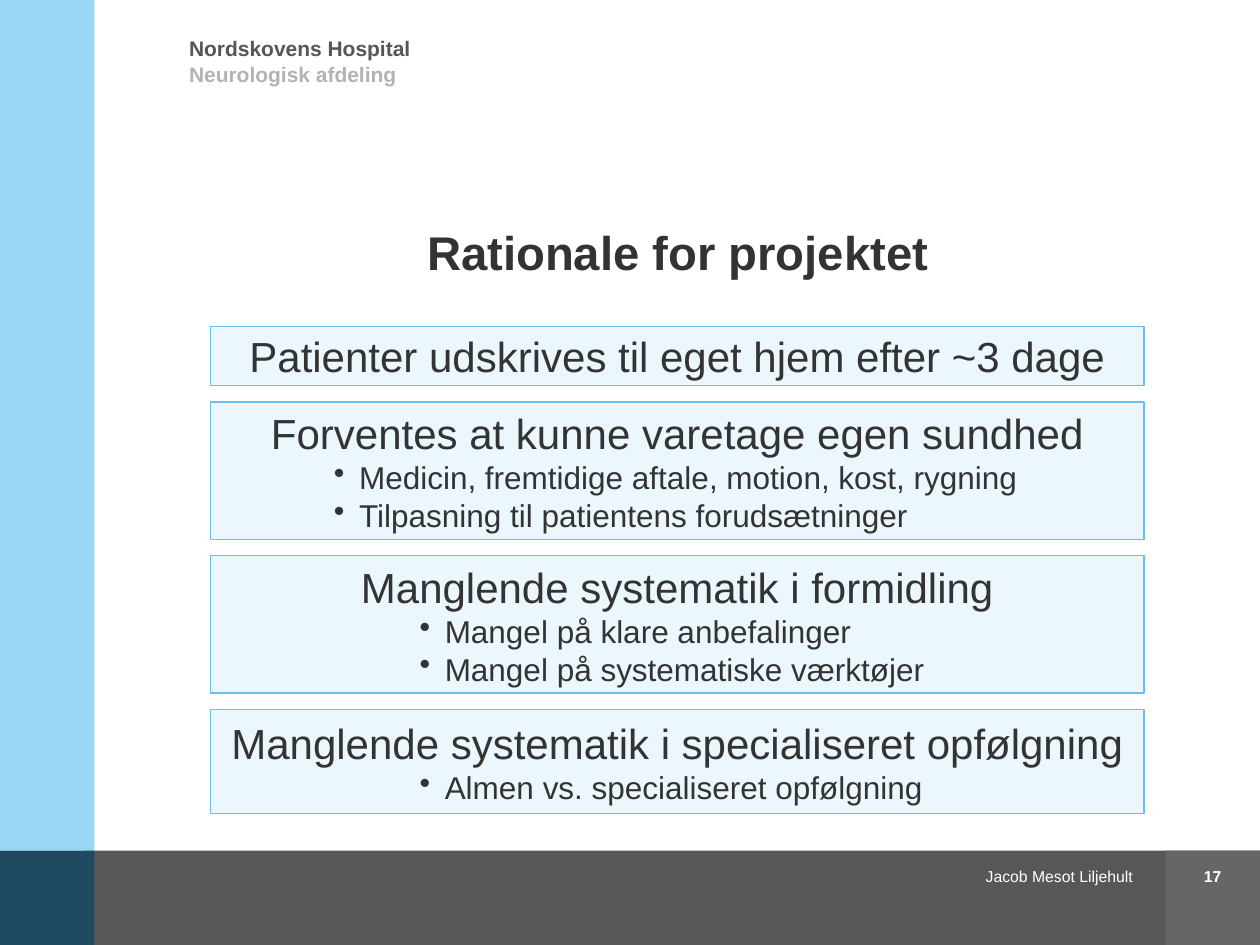
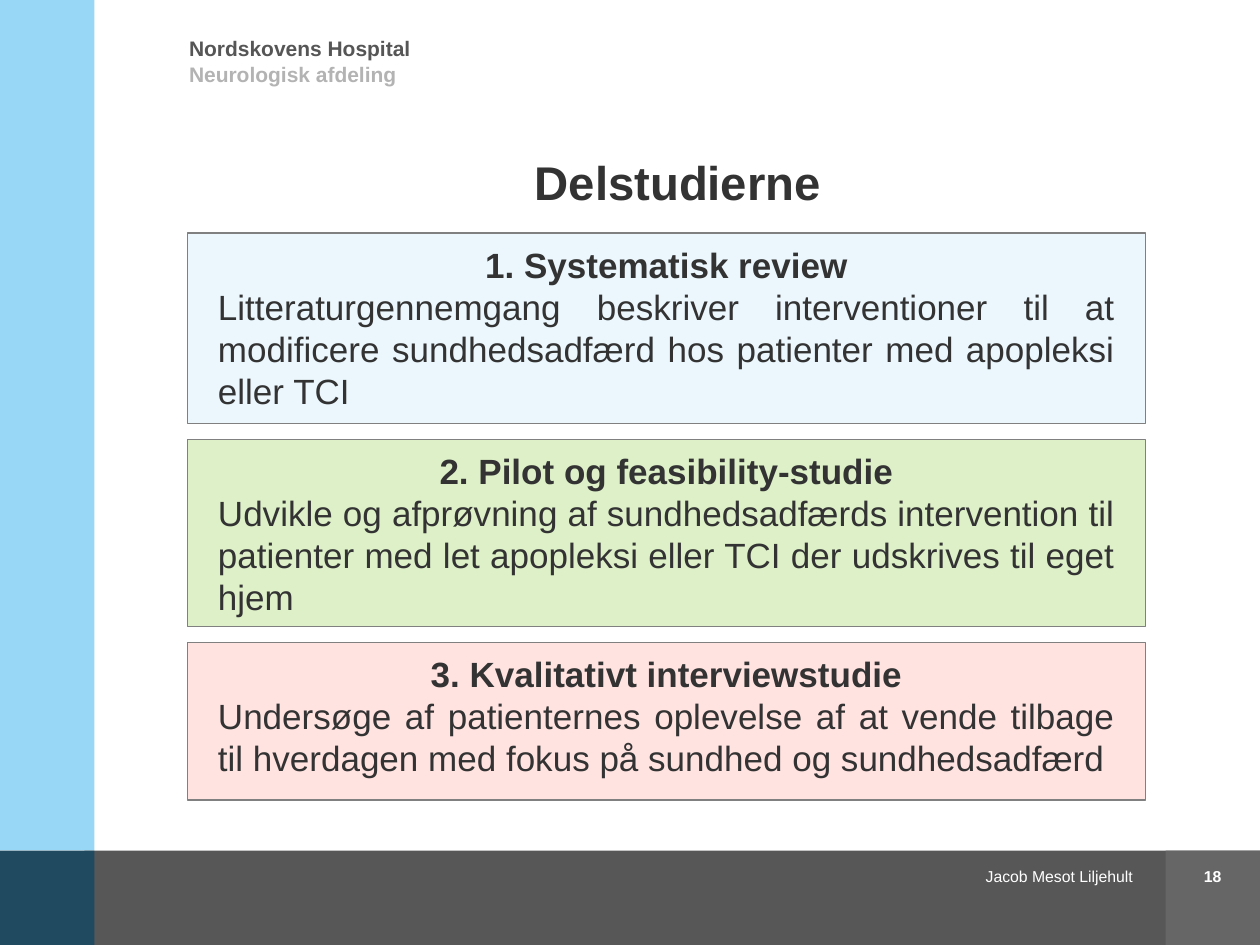
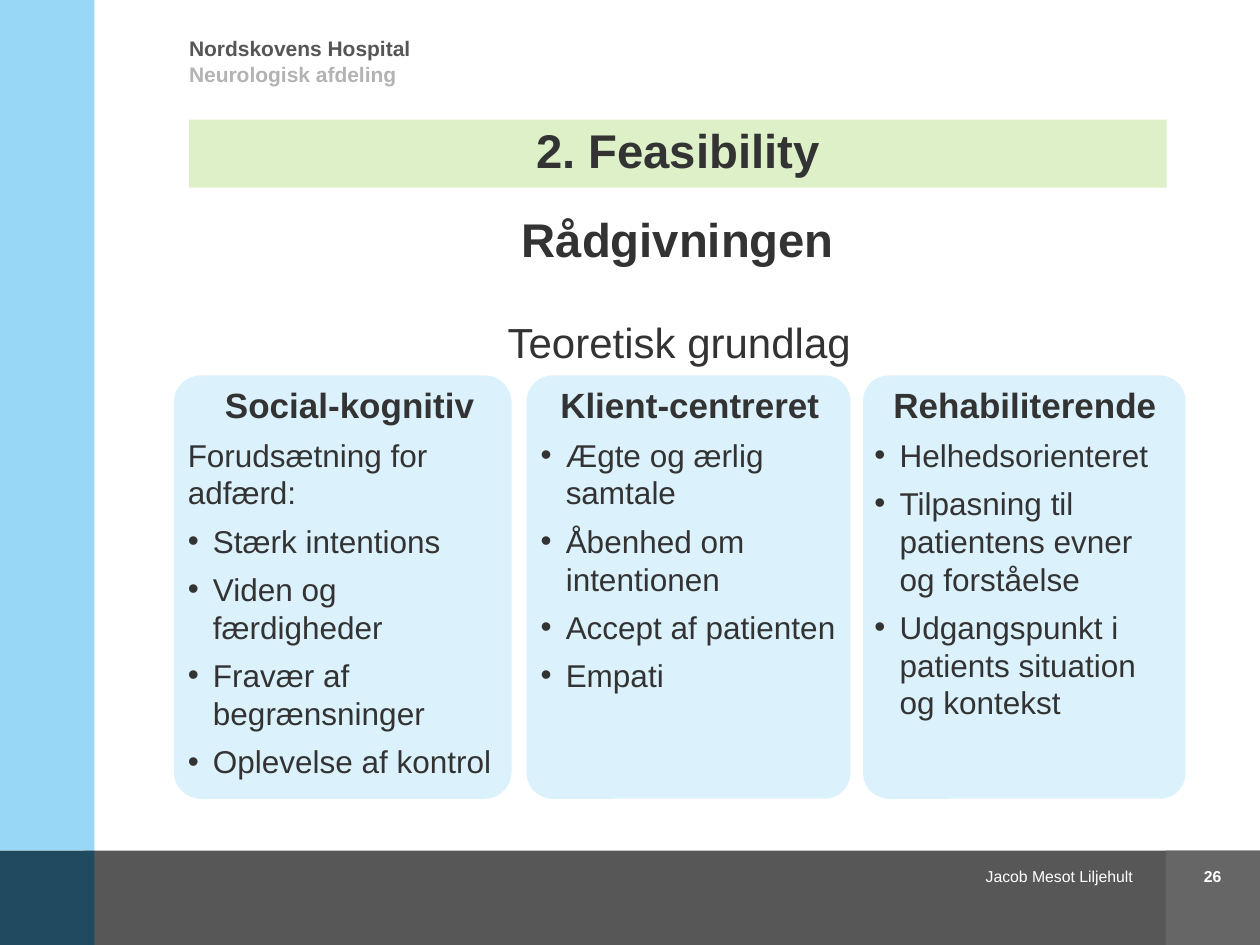
from dataclasses import dataclass

from pptx import Presentation
from pptx.dml.color import RGBColor
from pptx.enum.shapes import MSO_SHAPE
from pptx.enum.text import MSO_ANCHOR, MSO_AUTO_SIZE, PP_ALIGN
from pptx.oxml.xmlchemy import OxmlElement
from pptx.util import Inches, Pt

COMPARISON_LAYOUT = 4
TITLE_ONLY_LAYOUT = 5
BOX_GAP = 0.13


@dataclass(frozen=True)
class Theme:
    font: str = "Arial"
    text: str = "333333"
    white: str = "FFFFFF"
    hospital: str = "565656"
    department: str = "B3B3B3"
    footer: str = "575757"
    page_block: str = "666666"
    side_band: str = "99D7F6"
    corner: str = "1F4A60"
    pale_blue: str = "EBF7FD"
    card_blue: str = "DBF1FC"
    blue_line: str = "65C2F0"
    gray_line: str = "808080"
    green: str = "DDF0C8"
    pink: str = "FFE3E1"
    title_size: float = 27
    lead_size: float = 24
    heading_size: float = 20
    body_size: float = 18
    header_size: float = 12
    footer_size: float = 9


THEME = Theme()


@dataclass
class Line:
    text: str
    size: float = THEME.body_size
    bold: bool = False
    color: str = THEME.text
    alignment: PP_ALIGN = PP_ALIGN.LEFT
    bullet_indent: float = 0
    before: float = 0
    after: float = 0
    spacing: float = 1.0


class Deck:
    def __init__(self, theme):
        self.theme = theme
        self.presentation = Presentation()
        self.presentation.slide_width = Inches(10)
        self.presentation.slide_height = Inches(7.5)
        self.slide = None

    def new_slide(self, page, layout=TITLE_ONLY_LAYOUT):
        theme = self.theme
        layouts = self.presentation.slide_layouts
        self.slide = self.presentation.slides.add_slide(layouts[layout])
        for area, color in (
            ((0.67, 6.75, 9.33, 0.75), theme.footer),
            ((9.25, 6.75, 0.75, 0.75), theme.page_block),
            ((0, 0, 0.75, 6.75), theme.side_band),
            ((0, 6.75, 0.75, 0.75), theme.corner),
        ):
            self.box(area, color)
        for area, line in (
            ((1.5, 0.28, 3.61, 0.24),
             Line("Nordskovens Hospital", theme.header_size, True, theme.hospital)),
            ((1.5, 0.49, 3.62, 0.46),
             Line("Neurologisk afdeling", theme.header_size, True, theme.department)),
            ((6.47, 6.88, 2.52, 0.15),
             Line("Jacob Mesot Liljehult", theme.footer_size, False, theme.white, PP_ALIGN.RIGHT)),
            ((9.25, 6.88, 0.75, 0.16),
             Line(page, theme.footer_size, True, theme.white, PP_ALIGN.CENTER)),
        ):
            self.text_box(area, [line])

    def title_line(self, text):
        return Line(text, self.theme.title_size, True,
                    alignment=PP_ALIGN.CENTER, spacing=0.85)

    def title(self, text, height, fill=None):
        shape = self.slide.shapes.title
        self.place(shape, (1.5, 0.95, 7.76, height))
        if fill:
            self.fill(shape, fill)
        anchor = MSO_ANCHOR.MIDDLE if fill else MSO_ANCHOR.BOTTOM
        self.set_lines(shape, [self.title_line(text)], anchor)

    def body(self, index, area, lines, anchor=MSO_ANCHOR.TOP):
        shape = self.slide.placeholders[index]
        self.place(shape, area)
        self.set_lines(shape, lines, anchor)
        shape.element.getparent().append(shape.element)

    def text_box(self, area, lines):
        self.set_lines(self.slide.shapes.add_textbox(*map(Inches, area)), lines)

    def box(self, area, fill, line=None, preset=MSO_SHAPE.RECTANGLE):
        shape = self.slide.shapes.add_shape(preset, *map(Inches, area))
        shape.shadow.inherit = False
        self.fill(shape, fill)
        if line:
            shape.line.color.rgb = RGBColor.from_string(line)
            shape.line.width = Pt(0.75)
        else:
            shape.line.fill.background()
        return shape

    def card(self, area):
        shape = self.box(area, self.theme.card_blue, preset=MSO_SHAPE.ROUNDED_RECTANGLE)
        shape.adjustments[0] = 0.08

    def place(self, shape, area):
        shape.left, shape.top, shape.width, shape.height = map(Inches, area)

    def fill(self, shape, color):
        shape.fill.solid()
        shape.fill.fore_color.rgb = RGBColor.from_string(color)

    def set_lines(self, shape, lines, anchor=MSO_ANCHOR.TOP, insets=(0, 0, 0, 0)):
        frame = shape.text_frame
        frame.word_wrap = True
        frame.auto_size = MSO_AUTO_SIZE.NONE
        frame.vertical_anchor = anchor
        (frame.margin_left, frame.margin_top,
         frame.margin_right, frame.margin_bottom) = map(Inches, insets)
        for number, line in enumerate(lines):
            paragraph = frame.add_paragraph() if number else frame.paragraphs[0]
            self.format_paragraph(paragraph, line)
            run = paragraph.add_run()
            run.text = line.text
            run.font.name = self.theme.font
            run.font.size = Pt(line.size)
            run.font.bold = line.bold
            run.font.color.rgb = RGBColor.from_string(line.color)

    def format_paragraph(self, paragraph, line):
        paragraph.alignment = line.alignment
        paragraph.line_spacing = line.spacing
        paragraph.space_before = Pt(line.before)
        paragraph.space_after = Pt(line.after)
        properties = paragraph._p.get_or_add_pPr()
        properties.set("marL", str(Inches(line.bullet_indent)))
        properties.set("indent", str(Inches(-0.2 if line.bullet_indent else 0)))
        bullet = OxmlElement("a:buChar" if line.bullet_indent else "a:buNone")
        if line.bullet_indent:
            bullet.set("char", "•")
        properties.append(bullet)


def add_rationale(deck):
    theme = deck.theme
    deck.new_slide("17")
    deck.title("Rationale for projektet", 1.27)
    reasons = (
        (0.47, "Patienter udskrives til eget hjem efter ~3 dage", 0, ()),
        (1.09, "Forventes at kunne varetage egen sundhed", 1.18,
         ("Medicin, fremtidige aftale, motion, kost, rygning",
          "Tilpasning til patientens forudsætninger")),
        (1.09, "Manglende systematik i formidling", 1.86,
         ("Mangel på klare anbefalinger", "Mangel på systematiske værktøjer")),
        (0.83, "Manglende systematik i specialiseret opfølgning", 1.86,
         ("Almen vs. specialiseret opfølgning",)),
    )
    top = 2.59
    for height, heading, indent, points in reasons:
        box = deck.box((1.67, top, 7.41, height), theme.pale_blue, theme.blue_line)
        lines = [Line(heading, theme.lead_size, alignment=PP_ALIGN.CENTER)]
        lines += [Line(point, bullet_indent=indent) for point in points]
        deck.set_lines(box, lines, MSO_ANCHOR.MIDDLE)
        top += height + BOX_GAP


def add_studies(deck):
    theme = deck.theme
    deck.new_slide("18")
    deck.title("Delstudierne", 0.72)
    studies = (
        (1.51, theme.pale_blue, 0.08, "1. Systematisk review",
         "Litteraturgennemgang beskriver interventioner til at modificere "
         "sundhedsadfærd hos patienter med apopleksi eller TCI"),
        (1.48, theme.green, 0, "2. Pilot og feasibility-studie",
         "Udvikle og afprøvning af sundhedsadfærds intervention til patienter "
         "med let apopleksi eller TCI der udskrives til eget hjem"),
        (1.25, theme.pink, 0, "3. Kvalitativt interviewstudie",
         "Undersøge af patienternes oplevelse af at vende tilbage til hverdagen "
         "med fokus på sundhed og sundhedsadfærd"),
    )
    top = 1.85
    for height, fill, bottom_inset, heading, description in studies:
        box = deck.box((1.49, top, 7.6, height), fill, theme.gray_line)
        lines = [
            Line(heading, theme.heading_size, True, alignment=PP_ALIGN.CENTER),
            Line(description, theme.heading_size, alignment=PP_ALIGN.JUSTIFY),
        ]
        deck.set_lines(box, lines, insets=(0.24, 0.08, 0.24, bottom_inset))
        top += height + BOX_GAP


def add_counselling(deck):
    theme = deck.theme
    deck.new_slide("26", COMPARISON_LAYOUT)
    deck.title("2. Feasibility", 0.54, theme.green)
    deck.body(1, (1.5, 1.66, 7.76, 0.54), [deck.title_line("Rådgivningen")], MSO_ANCHOR.MIDDLE)
    deck.text_box((3.58, 2.51, 3.62, 0.47),
                  [Line("Teoretisk grundlag", theme.lead_size, alignment=PP_ALIGN.CENTER)])
    columns = (
        (1.38, 2.68, 1.49, 2.57, "Social-kognitiv", "Forudsætning for adfærd:",
         ("Stærk intentions", "Viden og færdigheder",
          "Fravær af begrænsninger", "Oplevelse af kontrol")),
        (4.18, 2.57, 4.29, 2.37, "Klient-centreret", None,
         ("Ægte og ærlig samtale", "Åbenhed om intentionen",
          "Accept af patienten", "Empati")),
        (6.85, 2.56, 6.94, 2.39, "Rehabiliterende", None,
         ("Helhedsorienteret", "Tilpasning til patientens evner og forståelse",
          "Udgangspunkt i patients situation og kontekst")),
    )
    for index, column in enumerate(columns, start=2):
        card_left, card_width, text_left, text_width, heading, intro, points = column
        deck.card((card_left, 2.98, card_width, 3.36))
        lines = [Line(heading, theme.heading_size, True, alignment=PP_ALIGN.CENTER, after=6)]
        if intro:
            lines.append(Line(intro, after=6))
        lines += [Line(point, bullet_indent=0.2, after=6) for point in points]
        deck.body(index, (text_left, 3.04, text_width, 3.24), lines)


def main():
    deck = Deck(THEME)
    add_rationale(deck)
    add_studies(deck)
    add_counselling(deck)
    deck.presentation.save("out.pptx")


if __name__ == "__main__":
    main()
